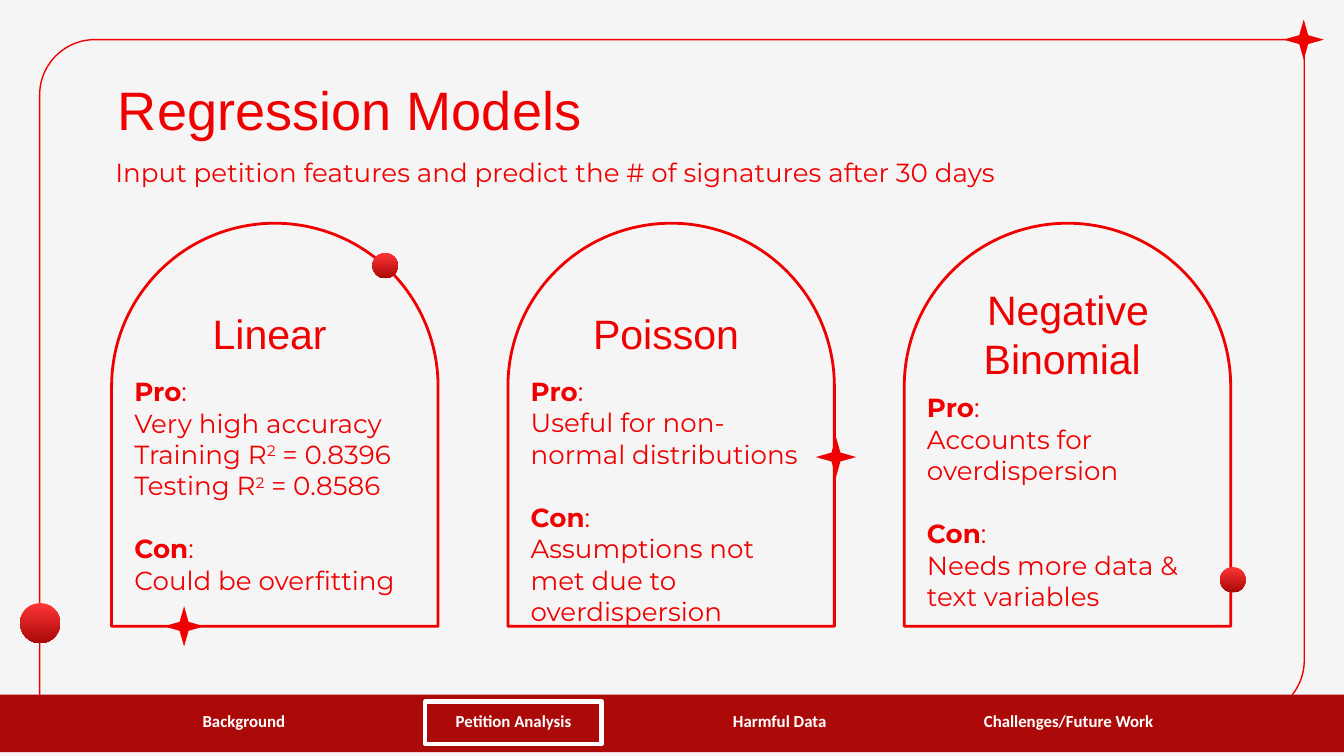
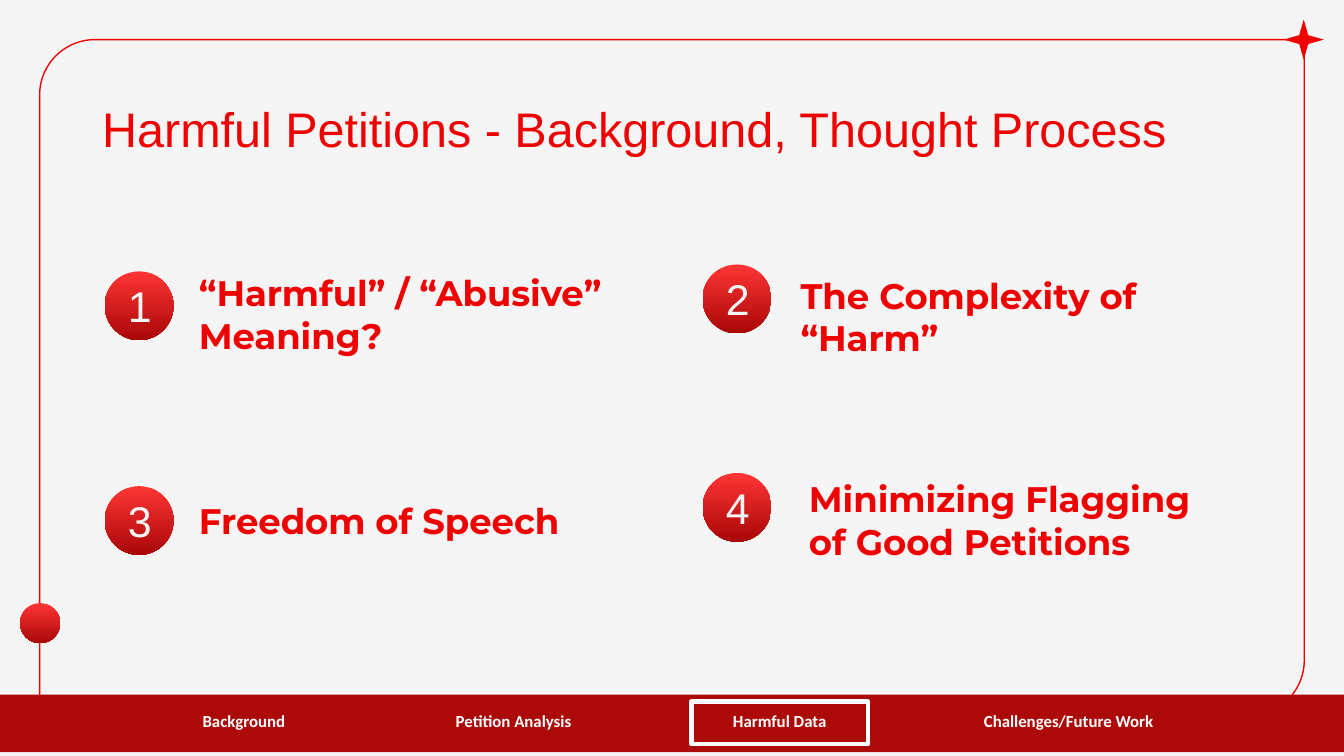
import math

import pptx
import pptx.dml.color
import pptx.enum.shapes
import pptx.enum.text
import pptx.util

Cm = pptx.util.Cm
Pt = pptx.util.Pt
Shapes = pptx.enum.shapes.MSO_SHAPE
Anchor = pptx.enum.text.MSO_ANCHOR
Align = pptx.enum.text.PP_ALIGN

RED = "F00101"
PAPER = "F5F5F5"
BAND = "AC0A09"
WHITE = "FFFFFF"
GLOSS = ("FE3535", "A90707")
HEADING_FONT = "Arial"
BODY_FONT = "Montserrat"
NAV_FONT = "Calibri"
INSET = 0.25
BODY_LINE = 0.6

SECTIONS = [
    ("Background", 2.77, 3.68),
    ("Petition Analysis", 7.85, 3.71),
    ("Harmful Data", 12.65, 4.17),
    ("Challenges/Future Work", 17.91, 4.57),
]

PRO = [("Pro", "bold"), (":", "")]
CON = [("Con", "bold"), (":", "")]


def plain(text):
    return [(text, "")]


def r_squared(label, value):
    return [(f"{label} R", ""), ("2", "super"), (f" = {value}", "")]


MODELS = [
    (["Linear "], 7.7, 3.56,
     [PRO, plain("Very high accuracy"), r_squared("Training", "0.8396"),
      r_squared("Testing", "0.8586"), CON, plain("Could be overfitting")]),
    (["Poisson "], 8.26, 3.02,
     [PRO, plain("Useful for non-normal distributions"), CON,
      plain("Assumptions not met due to overdispersion")]),
    (["Negative", "Binomial "], 7.7, 4.17,
     [PRO, plain("Accounts for overdispersion"), CON,
      plain("Needs more data & text variables")]),
]

CONCERNS = [
    ("“Harmful” / “Abusive” Meaning?", (1.98, 5.13), (3.51, 4.88, 8.61, 2.13), Anchor.TOP),
    ("The Complexity of “Harm”", (13.28, 5), (14.88, 4.93, 8.61, 1.73), Anchor.TOP),
    ("Freedom of Speech", (1.98, 9.19), (3.51, 9.19, 8.61, 1.73), Anchor.TOP),
    ("Minimizing Flagging of Good Petitions", (13.28, 8.94), (15.04, 8.76, 7.72, 2.13),
     Anchor.MIDDLE),
]


def color(hex_text):
    return pptx.dml.color.RGBColor.from_string(hex_text)


def place(box):
    return [Cm(length) for length in box]


def set_frame(frame, anchor, bottom=INSET):
    frame.word_wrap = True
    frame.auto_size = pptx.enum.text.MSO_AUTO_SIZE.NONE
    frame.vertical_anchor = anchor
    frame.margin_left = frame.margin_right = frame.margin_top = Cm(INSET)
    frame.margin_bottom = Cm(bottom)


def write(frame, paragraphs, size, font, ink, align=Align.LEFT, bold=False, gap_before=None):
    for index, runs in enumerate(paragraphs):
        paragraph = frame.paragraphs[0] if index == 0 else frame.add_paragraph()
        paragraph.alignment = align
        if runs is gap_before:
            paragraph.space_before = Cm(BODY_LINE)
        for text, style in runs:
            run = paragraph.add_run()
            run.text = text
            run.font.size = Pt(size)
            run.font.name = font
            run.font.bold = bold or style == "bold"
            run.font.color.rgb = color(ink)
            if style == "super":
                run.font._element.set("baseline", "30000")


def add_text(slide, box, paragraphs, size, font, ink=RED, anchor=Anchor.MIDDLE,
             bottom=INSET, **options):
    frame = slide.shapes.add_textbox(*place(box)).text_frame
    set_frame(frame, anchor, bottom)
    write(frame, paragraphs, size, font, ink, **options)


def add_outline(slide, kind, box, ink, width, adjustments=()):
    outline = slide.shapes.add_shape(kind, *place(box))
    outline.shadow.inherit = False
    for index, value in enumerate(adjustments):
        outline.adjustments[index] = value
    outline.fill.background()
    outline.line.color.rgb = color(ink)
    outline.line.width = Pt(width)


def add_dot(slide, left, top, size):
    dot = slide.shapes.add_shape(Shapes.OVAL, *place((left, top, size, size)))
    dot.shadow.inherit = False
    dot.fill.gradient()
    dot.fill.gradient_angle = 270
    for stop, position, shade in zip(dot.fill.gradient_stops, (0, 1), GLOSS):
        stop.position = position
        stop.color.rgb = color(shade)
    dot.line.fill.background()
    return dot


def add_sparkle(slide, center_x, center_y):
    points = []
    for step in range(8):
        radius = 0.38 if step % 2 == 0 else 0.12
        angle = math.pi * step / 4
        points.append((Cm(center_x + radius * math.sin(angle)),
                       Cm(center_y - radius * math.cos(angle))))
    builder = slide.shapes.build_freeform(*points[0])
    builder.add_line_segments(points[1:], close=True)
    sparkle = builder.convert_to_shape()
    sparkle.shadow.inherit = False
    sparkle.fill.solid()
    sparkle.fill.fore_color.rgb = color(RED)
    sparkle.line.fill.background()


def add_nav(slide, current):
    band = slide.shapes.add_shape(Shapes.RECTANGLE, *place((0, 13.13, 25.4, 1.09)))
    band.shadow.inherit = False
    band.fill.solid()
    band.fill.fore_color.rgb = color(BAND)
    band.line.fill.background()
    for section, left, width in SECTIONS:
        add_text(slide, (left, 13.34, width, 0.58), [plain(section)], 9, NAV_FONT, WHITE,
                 align=Align.CENTER, bold=True)
        if section == current:
            marker_left = left + (width - 3.33) / 2
            add_outline(slide, Shapes.RECTANGLE, (marker_left, 13.26, 3.33, 0.81), WHITE, 2.25)


def start_slide(deck, title, box, size):
    slide = deck.slides.add_slide(deck.slide_layouts.get_by_name("Title Only"))
    heading = slide.shapes.title
    heading.left, heading.top, heading.width, heading.height = place(box)
    set_frame(heading.text_frame, Anchor.TOP)
    write(heading.text_frame, [plain(title)], size, HEADING_FONT, RED)
    add_outline(slide, Shapes.ROUND_2_DIAG_RECTANGLE, (0.75, 0.75, 23.9, 12.78), RED, 0.75,
                (0.082, 0))
    add_dot(slide, 0.38, 11.4, 0.76)
    add_sparkle(slide, 24.64, 0.75)
    return slide


def add_model(slide, left, names, notes_top, notes_height, notes):
    add_outline(slide, Shapes.ROUND_2_SAME_RECTANGLE, (left, 4.22, 6.17, 7.62), RED, 1.5,
                (0.5, 0))
    add_text(slide, (left + 0.86, 5.79, 4.47, 1.02), [plain(name) for name in names], 22,
             HEADING_FONT, align=Align.CENTER)
    add_text(slide, (left + 0.18, notes_top, 5.84, notes_height), notes, 14, BODY_FONT,
             bottom=INSET + BODY_LINE, gap_before=CON)


def build_models(deck):
    slide = start_slide(deck, "Regression Models", (1.98, 1.19, 21.44, 1.3), 29)
    add_text(slide, (1.93, 2.69, 21.95, 1.73),
             [plain("Input petition features and predict the # of signatures after 30 days")],
             14, BODY_FONT, bottom=INSET + BODY_LINE)
    for column, model in enumerate(MODELS):
        add_model(slide, 2.11 + 7.49 * column, *model)
    add_sparkle(slide, 3.48, 11.84)
    add_sparkle(slide, 15.8, 8.64)
    add_dot(slide, 7.04, 4.78, 0.48)
    add_dot(slide, 23.06, 10.72, 0.48)
    add_nav(slide, "Petition Analysis")


def build_concerns(deck):
    slide = start_slide(deck, "Harmful Petitions - Background, Thought Process",
                        (1.68, 1.63, 22.15, 2.13), 26)
    for number, (concern, corner, box, anchor) in enumerate(CONCERNS, 1):
        badge = add_dot(slide, *corner, 1.3)
        set_frame(badge.text_frame, Anchor.MIDDLE)
        write(badge.text_frame, [plain(str(number))], 23, HEADING_FONT, PAPER, Align.CENTER)
        add_text(slide, box, [plain(concern)], 19, BODY_FONT, anchor=anchor, bold=True)
    add_nav(slide, "Harmful Data")


def main():
    deck = pptx.Presentation()
    deck.slide_width = Cm(25.4)
    deck.slide_height = Cm(14.29)
    backdrop = deck.slide_master.background.fill
    backdrop.solid()
    backdrop.fore_color.rgb = color(PAPER)
    build_models(deck)
    build_concerns(deck)
    deck.save("out.pptx")


if __name__ == "__main__":
    main()
